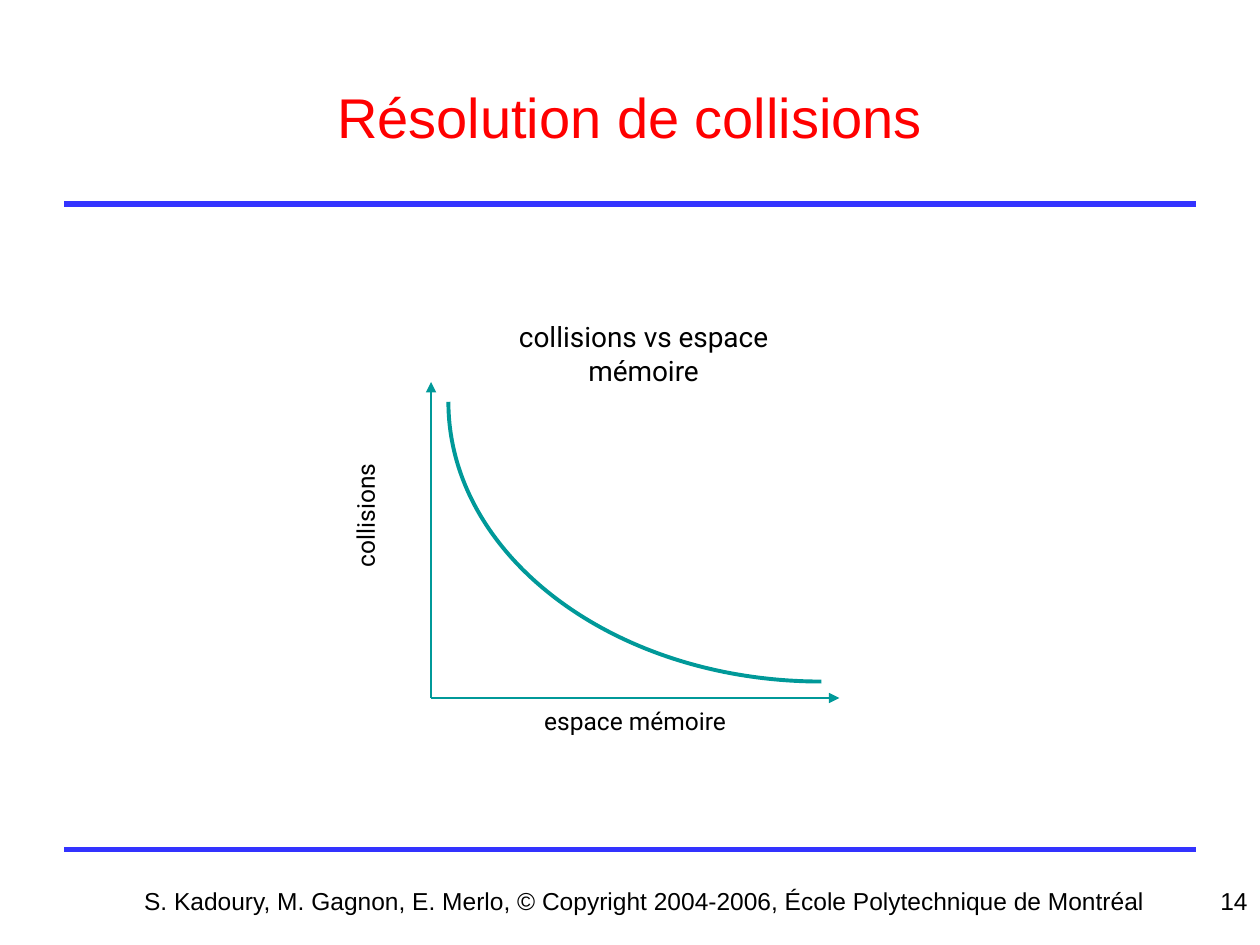
"""Build the slide on collision resolution with its sketch of collisions against memory space."""
from lxml import etree
from pptx import Presentation
from pptx import util as u
from pptx.dml.color import RGBColor
from pptx.enum import shapes, text
from pptx.oxml.ns import qn

BLACK = RGBColor(0x00, 0x00, 0x00)
RED = RGBColor(0xFF, 0x00, 0x00)
BLUE = RGBColor(0x33, 0x33, 0xFF)
TEAL = RGBColor(0x00, 0x99, 0x99)


def add_line(start, end, color, width, arrow=False):
    points = [u.Cm(value) for value in (*start, *end)]
    connector = slide.shapes.add_connector(shapes.MSO_CONNECTOR.STRAIGHT, *points)
    connector.line.color.rgb = color
    connector.line.width = u.Pt(width)
    if arrow:
        etree.SubElement(connector.line._get_or_add_ln(), qn("a:tailEnd"), type="triangle")
    etree.SubElement(connector._element.spPr, qn("a:effectLst"))


def add_label(box, wording, font_name, size, alignment, rotation=0, wrap=True):
    shape = slide.shapes.add_textbox(*[u.Cm(value) for value in box])
    shape.rotation = rotation
    shape.text_frame.word_wrap = wrap
    paragraph = shape.text_frame.paragraphs[0]
    paragraph.text = wording
    paragraph.alignment = alignment
    paragraph.font.name = font_name
    paragraph.font.size = u.Pt(size)
    paragraph.font.color.rgb = BLACK


presentation = Presentation()
presentation.slide_width = u.Cm(25.4)
presentation.slide_height = u.Cm(19.05)
slide = presentation.slides.add_slide(presentation.slide_layouts[5])

title = slide.shapes.title
title.left, title.top, title.width, title.height = [u.Cm(value) for value in (1.27, 0.76, 22.86, 3.18)]
title.text_frame.vertical_anchor = text.MSO_ANCHOR.MIDDLE
paragraph = title.text_frame.paragraphs[0]
paragraph.text = "Résolution de collisions"
paragraph.alignment = text.PP_ALIGN.CENTER
paragraph.font.name = "Arial"
paragraph.font.size = u.Pt(32)
paragraph.font.color.rgb = RED

for rule_top in (17.12, 4.11):
    add_line((1.3, rule_top), (24.1, rule_top), BLUE, 3)

origin = (8.69, 14.07)
for axis_end in ((8.69, 7.7), (16.92, 14.07)):
    add_line(origin, axis_end, TEAL, 1, arrow=True)

left, top, right, bottom = [u.Cm(value) for value in (9.04, 8.1, 16.56, 13.74)]
builder = slide.shapes.build_freeform(right, bottom)
builder.add_line_segments([(left, top)], close=False)
curve = builder.convert_to_shape()
curve.shadow.inherit = False
curve.fill.background()
curve.line.color.rgb = TEAL
curve.line.width = u.Pt(2.25)
segment = next(curve._element.iter(qn("a:lnTo")))
segment.tag = qn("a:cubicBezTo")
controls = ((u.Cm(12.42), bottom), (left, u.Cm(11.23)))
for index, (x, y) in enumerate(controls):
    segment.insert(index, segment.makeelement(qn("a:pt"), x=str(x - left), y=str(y - top)))

center, right_aligned = text.PP_ALIGN.CENTER, text.PP_ALIGN.RIGHT
add_label((9.04, 6.32, 7.87, 1.37), "collisions vs espace mémoire", "Roboto", 16, center)
add_label((8.74, 14.1, 8.13, 1.07), "espace mémoire", "Roboto", 14, center)
add_label((6.05, 9.93, 2.64, 0.86), "collisions", "Roboto", 14, text.PP_ALIGN.LEFT, rotation=270, wrap=False)
add_label((2.49, 17.73, 21.01, 1.32),
          "S. Kadoury, M. Gagnon, E. Merlo, © Copyright 2004-2006, École Polytechnique de Montréal",
          "Arial", 14, center)
add_label((19.48, 17.73, 5.92, 1.32), "14", "Arial", 14, right_aligned)

presentation.save("out.pptx")
